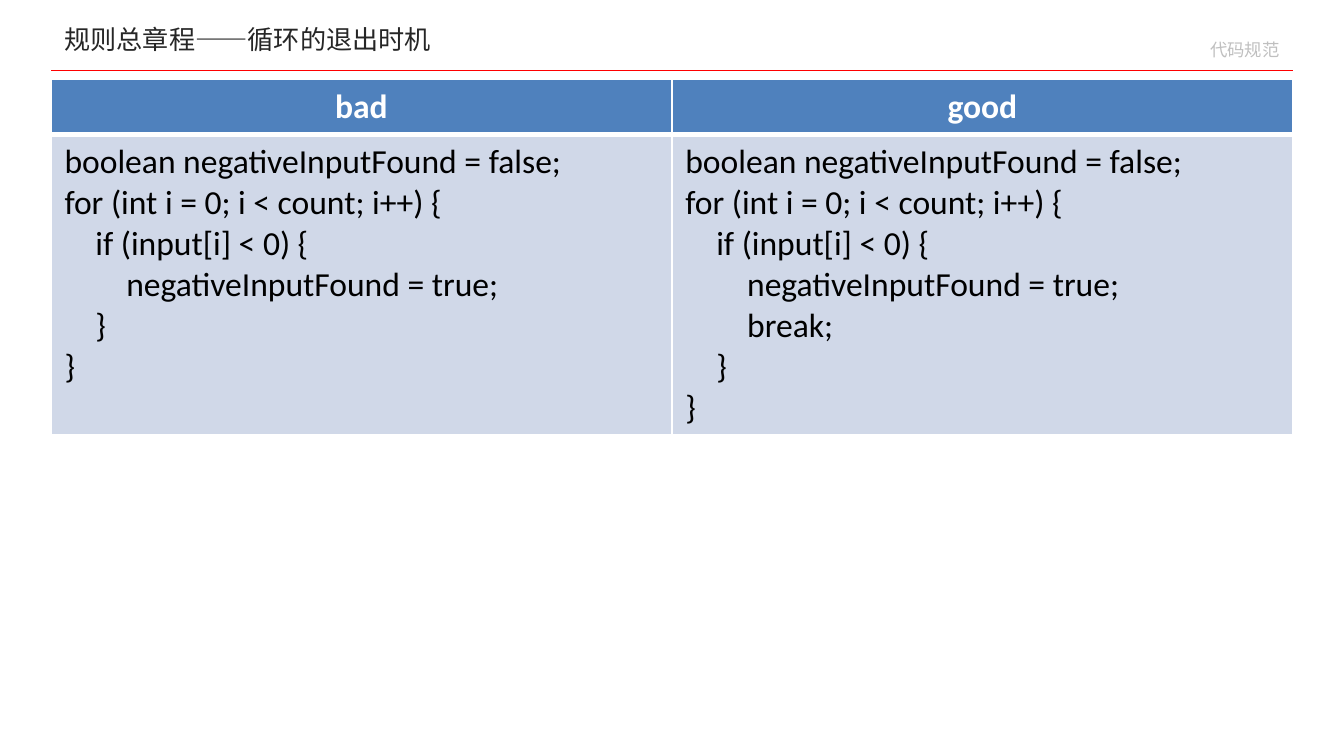
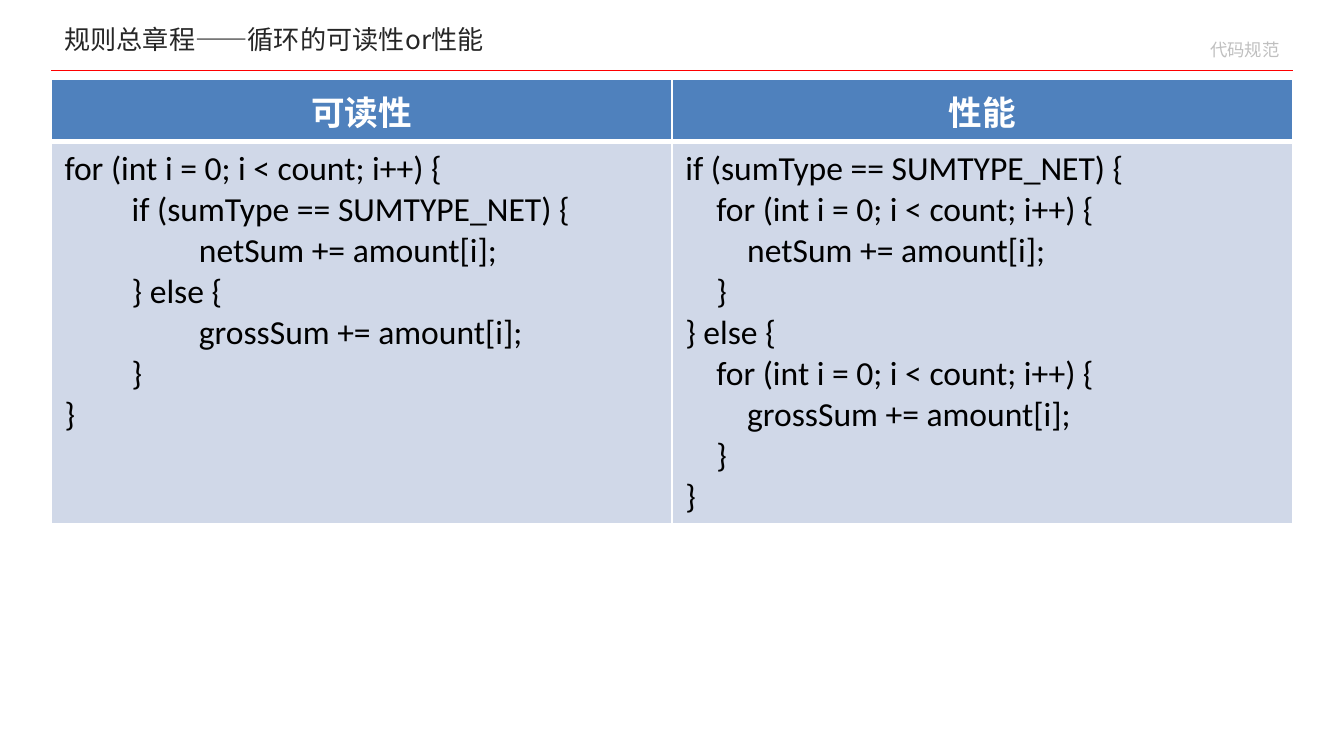
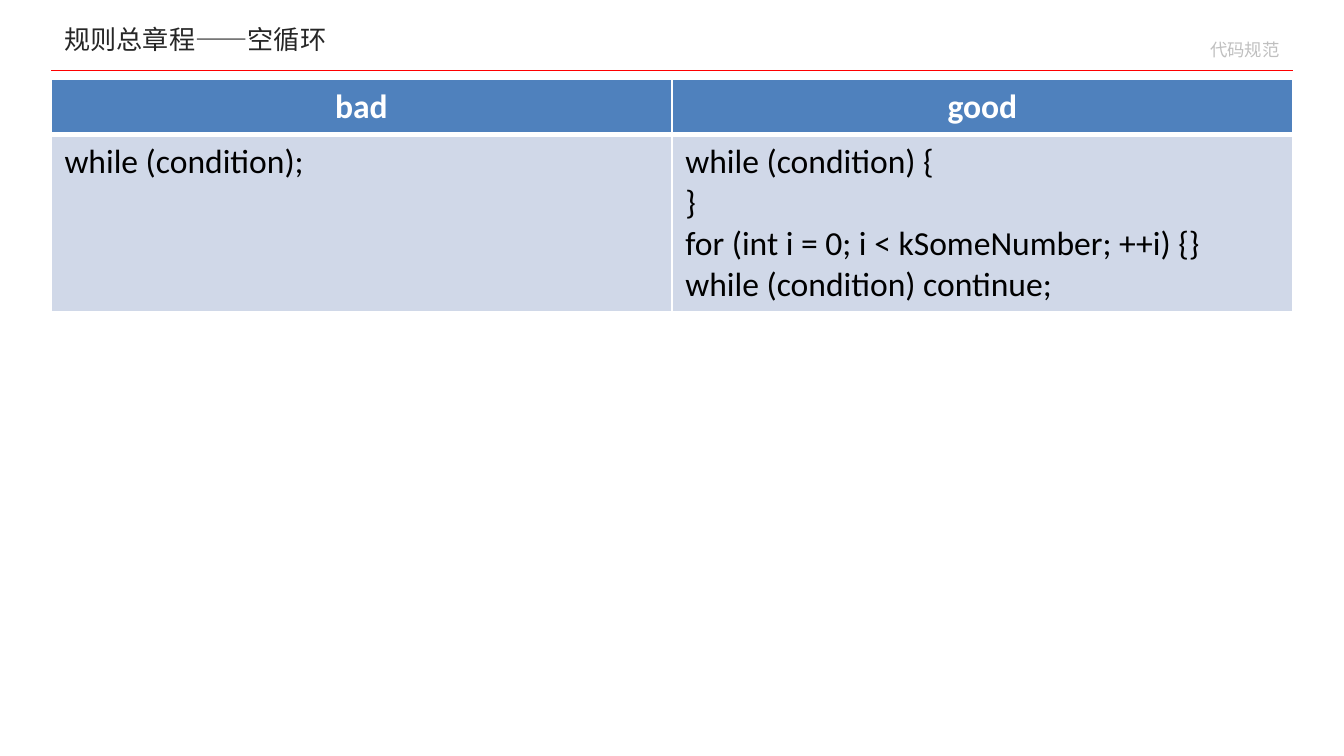
from lxml.etree import SubElement
from pptx import Presentation
from pptx.dml.color import RGBColor
from pptx.enum.shapes import MSO_CONNECTOR
from pptx.enum.text import MSO_ANCHOR, MSO_AUTO_SIZE, PP_ALIGN
from pptx.oxml.ns import qn
from pptx.util import Inches, Pt

# Content: title, step of one code level in inches, and code per column.
# Code levels follow from the braces; \v breaks a line inside a paragraph.
TOPIC = "代码规范"
SLIDES = [
    ("规则总章程——循环的退出时机", [
        ("bad", 0.23, [
            "boolean negativeInputFound = false;",
            "for (int i = 0; i < count; i++) {",
            "if (input[i] < 0) {",
            "negativeInputFound = true;",
            "}",
            "}",
        ]),
        ("good", 0.23, [
            "boolean negativeInputFound = false;",
            "for (int i = 0; i < count; i++) {",
            "if (input[i] < 0) {",
            "negativeInputFound = true;",
            "break;",
            "}",
            "}",
        ]),
    ]),
    ("规则总章程——循环的可读性or性能", [
        ("可读性", 0.5, [
            "for (int i = 0; i < count; i++) {",
            "if (sumType == SUMTYPE_NET) {",
            "netSum += amount[i];",
            "} else {",
            "grossSum += amount[i];",
            "}",
            "}",
        ]),
        ("性能", 0.23, [
            "if (sumType == SUMTYPE_NET) {",
            "for (int i = 0; i < count; i++) {",
            "netSum += amount[i];",
            "}",
            "} else {",
            "for (int i = 0; i < count; i++) {",
            "grossSum += amount[i];",
            "}",
            "}",
        ]),
    ]),
    ("规则总章程——空循环", [
        ("bad", 0.23, ["while (condition);"]),
        ("good", 0.23, [
            "while (condition) {",
            "}",
            "for (int i = 0; i < kSomeNumber; ++i) {}\vwhile (condition) continue;",
        ]),
    ]),
]

# Shared style
COLORS = {"rule": "FF0000", "title": "262626", "topic": "BFBFBF",
          "head": "4F81BD", "body": "D0D8E8", "light": "FFFFFF",
          "code": "000000"}
CJK, LATIN = "Noto Sans CJK SC", "Calibri"
PAGE_W = 10
PAGE_H = PAGE_W * 9 / 16
LEFT, WIDTH = 0.38, 9.24
RULE_Y, TABLE_Y = 0.52, 0.59
HEAD_H, LINE_H, PAD = 0.41, 0.3, 0.1
THIN, THICK = 1, 3


def color(name):
    return RGBColor.from_string(COLORS[name])


def style(par, size, face, tint, bold=False):
    font = par.font
    font.size, font.name, font.bold = Pt(size), face, bold
    font.color.rgb = color(tint)


def fill_holder(shape, text, box, size, tint, align, anchor):
    shape.left, shape.top, shape.width, shape.height = map(Inches, box)
    frame = shape.text_frame
    frame.text = text
    frame.auto_size = MSO_AUTO_SIZE.NONE
    frame.vertical_anchor = anchor
    par = frame.paragraphs[0]
    par.alignment = align
    style(par, size, CJK, tint)
    # East Asian glyphs need their own typeface entry
    SubElement(par.font._element, qn("a:ea"), typeface=CJK)


def add_rule(slide):
    y = Inches(RULE_Y)
    line = slide.shapes.add_connector(
        MSO_CONNECTOR.STRAIGHT, Inches(LEFT), y, Inches(LEFT + WIDTH), y)
    line.line.color.rgb = color("rule")
    line.line.width = Pt(0.25)
    SubElement(line._element.spPr, qn("a:effectLst"))


def paint(cell, tint, top, bottom):
    """Draw the cell's borders, then its fill."""
    props = cell._tc.get_or_add_tcPr()
    for side, width in zip("LRTB", (THIN, THIN, top, bottom)):
        edge = SubElement(props, qn(f"a:ln{side}"), w=str(Pt(width)))
        solid = SubElement(edge, qn("a:solidFill"))
        SubElement(solid, qn("a:srgbClr"), val=COLORS["light"])
    cell.fill.solid()
    cell.fill.fore_color.rgb = color(tint)


def add_head(cell, text):
    paint(cell, "head", THIN, THICK)
    cell.text = text
    cell.vertical_anchor = MSO_ANCHOR.MIDDLE
    par = cell.text_frame.paragraphs[0]
    par.alignment = PP_ALIGN.CENTER
    style(par, 18, LATIN, "light", True)


def add_code(cell, lines, step):
    paint(cell, "body", THICK, THIN)
    cell.text = "\n".join(lines)
    level = 0
    for par, line in zip(cell.text_frame.paragraphs, lines):
        level -= line.startswith("}")
        style(par, 18, LATIN, "code")
        if level:
            par._p.get_or_add_pPr().set("marL", str(Inches(level * step)))
        level += line.endswith("{")


def add_code_table(slide, cols):
    rows = max(len("\v".join(lines).split("\v")) for _, _, lines in cols)
    body_h = rows * LINE_H + PAD
    table = slide.shapes.add_table(
        2, len(cols), Inches(LEFT), Inches(TABLE_Y),
        Inches(WIDTH), Inches(HEAD_H + body_h)).table
    table.rows[0].height = Inches(HEAD_H)
    table.rows[1].height = Inches(body_h)
    for i, (head, step, lines) in enumerate(cols):
        add_head(table.cell(0, i), head)
        add_code(table.cell(1, i), lines, step)


def main():
    prs = Presentation()
    prs.slide_width, prs.slide_height = Inches(PAGE_W), Inches(PAGE_H)
    for title, cols in SLIDES:
        slide = prs.slides.add_slide(prs.slide_layouts[0])
        add_rule(slide)
        fill_holder(slide.placeholders[1], TOPIC, (5.66, 0.24, 3.96, 0.22),
                    9.3, "topic", PP_ALIGN.RIGHT, MSO_ANCHOR.TOP)
        fill_holder(slide.shapes.title, title, (LEFT, 0.14, 4.38, 0.3),
                    14, "title", PP_ALIGN.LEFT, MSO_ANCHOR.MIDDLE)
        add_code_table(slide, cols)
    prs.save("out.pptx")


if __name__ == "__main__":
    main()
